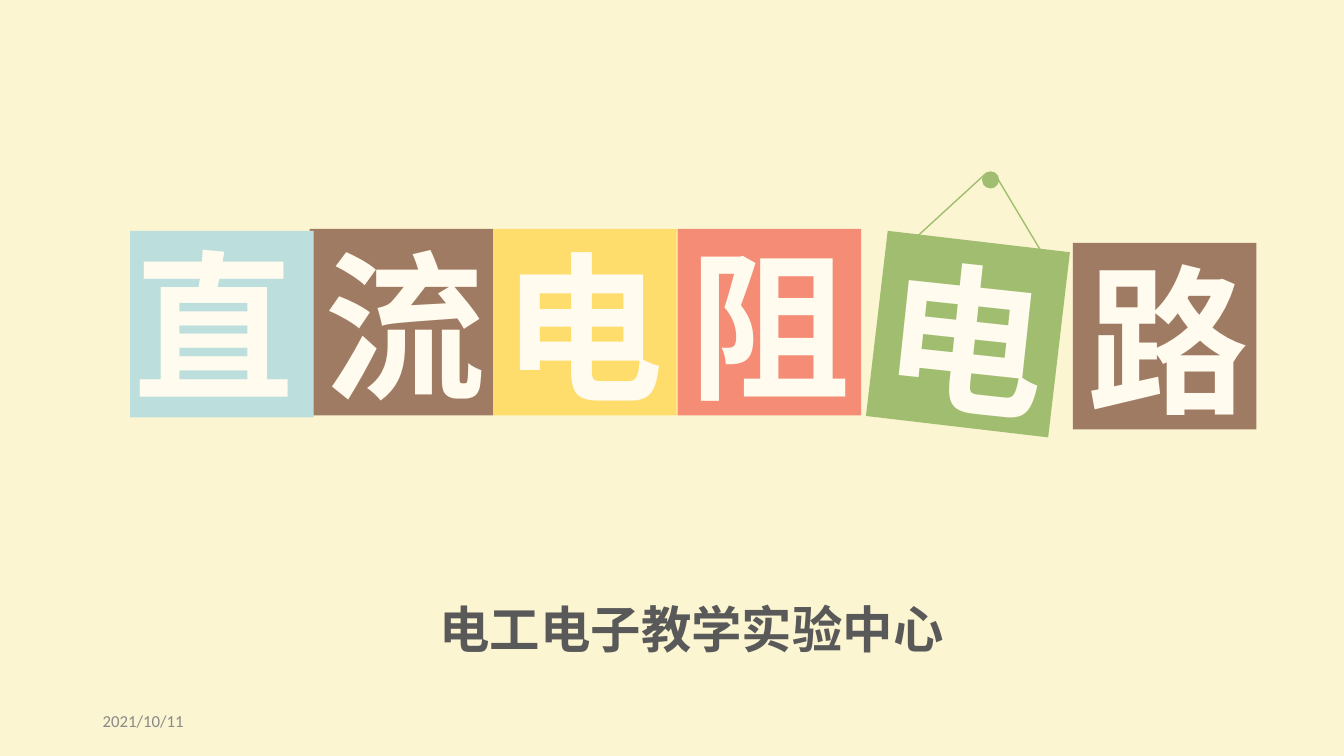
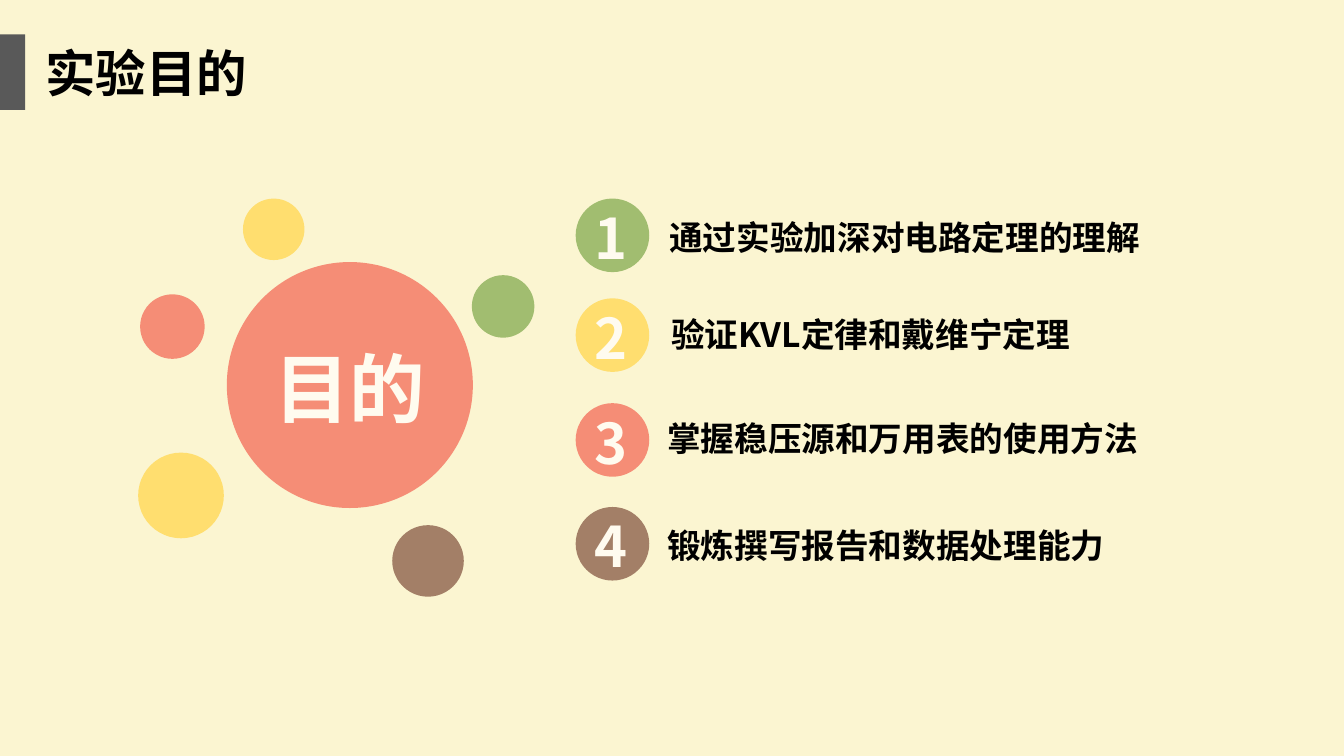
from pptx import Presentation
from pptx.dml.color import RGBColor
from pptx.enum.shapes import MSO_SHAPE
from pptx.enum.text import MSO_ANCHOR, MSO_AUTO_SIZE
from pptx.oxml.ns import qn
from pptx.util import Emu, Pt
from lxml.etree import SubElement

PX = 9144
COLORS = {
    "paper": "FBF5D1", "cream": "FFFBEF", "ink": "000000", "slate": "595959",
    "date": "898989", "brown": "A07B63", "mocha": "A37F67", "yellow": "FFDD6C",
    "gold": "FFDE6F", "coral": "F58D76", "green": "A1BD70", "sky": "BCDFDD",
}
CJK = "Noto Sans CJK SC"

TILE = (182, 185)
GLYPH = (181, 204)
TILES = [
    ("流", "brown", (307, 227), (312, 220), 0, 0),
    ("电", "yellow", (489, 227), (489, 221), 0, 0),
    ("阻", "coral", (672, 227), (674, 220), 0, 0),
    ("电", "green", (869, 239), (869, 233), 6.7, 6.2),
    ("路", "brown", (1064, 241), (1069, 234), 0, 0),
    ("直", "sky", (129, 229), (123, 220), 0, 0),
]
STRING = [(895, 248), (978, 172), (987, 173), (1042, 265)]
NAIL = (974, 170, 17, 17)
CENTER_NAME = "电工电子教学实验中心"
DATE = "2021/10/11"

TITLE = "实验目的"
HUB = "目的"
GOALS = [
    ("通过实验加深对电路定理的理解", "green", 197, (654, 210, 682, 50)),
    ("验证KVL定律和戴维宁定理", "gold", 296, (656, 307, 423, 50)),
    ("掌握稳压源和万用表的使用方法", "coral", 400, (652, 410, 491, 50)),
    ("锻炼撰写报告和数据处理能力", "mocha", 503, (652, 516, 458, 50)),
]
BUBBLES = [
    ("gold", 137, 449, 85), ("coral", 139, 292, 64), ("gold", 241, 197, 61),
    ("green", 468, 273, 62), ("mocha", 389, 521, 71),
]


def rgb(color):
    return RGBColor.from_string(COLORS[color])


def emu(lengths):
    return [Emu(length * PX) for length in lengths]


def add_block(slide, preset, box, color, rotation=0):
    block = slide.shapes.add_shape(preset, *emu(box))
    block.shadow.inherit = False
    block.fill.solid()
    block.fill.fore_color.rgb = rgb(color)
    block.line.fill.background()
    block.rotation = rotation


def add_label(slide, text, box, size, color, font=CJK, bold=True, rotation=0):
    label = slide.shapes.add_textbox(*emu(box))
    label.rotation = rotation
    frame = label.text_frame
    frame.word_wrap = True
    frame.text = text
    run = frame.paragraphs[0].runs[0]
    run.font.size = Pt(size)
    run.font.bold = bold
    run.font.name = font
    run.font.color.rgb = rgb(color)
    SubElement(run.font._element, qn("a:ea")).set("typeface", font)
    frame.auto_size = MSO_AUTO_SIZE.SHAPE_TO_FIT_TEXT
    return frame


def add_string(slide):
    builder = slide.shapes.build_freeform(*STRING[0], scale=PX)
    builder.add_line_segments(STRING[1:], close=False)
    string = builder.convert_to_shape()
    string.shadow.inherit = False
    string.fill.background()
    string.line.color.rgb = rgb("green")
    string.line.width = Pt(1)


def build_cover(slide):
    for glyph, color, tile_at, glyph_at, tile_turn, glyph_turn in TILES:
        add_block(slide, MSO_SHAPE.RECTANGLE, tile_at + TILE, color, tile_turn)
        add_label(slide, glyph, glyph_at + GLYPH, 115, "cream", rotation=glyph_turn)
    add_block(slide, MSO_SHAPE.OVAL, NAIL, "green")
    add_string(slide)
    date = add_label(slide, DATE, (92, 695, 300, 40), 12, "date", "Calibri", False)
    date.auto_size = MSO_AUTO_SIZE.NONE
    date.vertical_anchor = MSO_ANCHOR.MIDDLE
    add_label(slide, CENTER_NAME, (426, 588, 525, 71), 36, "slate")


def add_title(slide, title):
    add_block(slide, MSO_SHAPE.RECTANGLE, (0, 34, 25, 75), "slate")
    add_label(slide, title, (35, 37, 222, 71), 36, "ink")


def build_goals(slide):
    add_title(slide, TITLE)
    add_block(slide, MSO_SHAPE.OVAL, (225, 260, 244, 244), "coral")
    add_label(slide, HUB, (262, 334, 172, 101), 54, "cream")
    for number, (goal, color, top, goal_box) in enumerate(GOALS, 1):
        add_block(slide, MSO_SHAPE.OVAL, (571, top, 73, 73), color)
        add_label(slide, str(number), (580, top, 55, 77), 40, "cream")
        add_label(slide, goal, goal_box, 24, "ink")
    for color, left, top, diameter in BUBBLES:
        add_block(slide, MSO_SHAPE.OVAL, (left, top, diameter, diameter), color)


def main():
    deck = Presentation()
    deck.slide_width, deck.slide_height = emu((1333, 750))
    backdrop = deck.slide_master.background.fill
    backdrop.solid()
    backdrop.fore_color.rgb = rgb("paper")
    for build in (build_cover, build_goals):
        build(deck.slides.add_slide(deck.slide_layouts[6]))
    deck.save("out.pptx")


if __name__ == "__main__":
    main()
